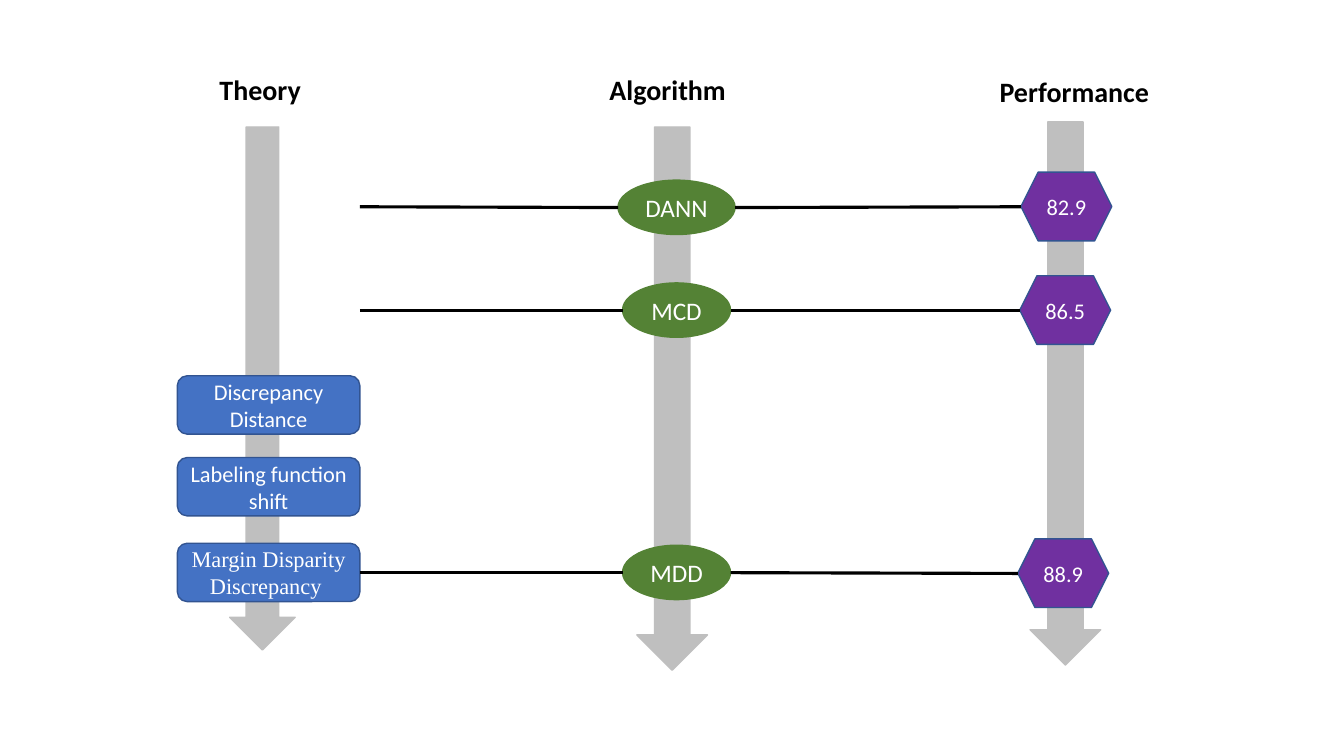
"""Build a slide linking theory, algorithm and performance in domain adaptation."""
from lxml import etree
from pptx import Presentation, util as u
from pptx.dml.color import RGBColor
from pptx.enum import shapes, text
from pptx.oxml.ns import qn

SHAPE = shapes.MSO_SHAPE


def color(value):
    return RGBColor.from_string(value)


def add_block(kind, box, fill, line, label="", size=16, font="Calibri", wrap=True):
    sp = s.shapes.add_shape(kind, *[u.Cm(n) for n in box])
    sp.shadow.inherit = False
    sp.fill.solid()
    sp.fill.fore_color.rgb = color(fill)
    sp.line.color.rgb = color(line)
    sp.line.width = u.Pt(1)
    if label:
        tf = sp.text_frame
        tf.text = label
        tf.word_wrap = wrap
        tf.vertical_anchor = text.MSO_ANCHOR.MIDDLE
        for p in tf.paragraphs:
            p.alignment = text.PP_ALIGN.CENTER
            for r in p.runs:
                for key, value in {"name": font, "size": u.Pt(size)}.items():
                    setattr(r.font, key, value)
                r.font.color.rgb = color("FFFFFF")


prs = Presentation()
prs.slide_width, prs.slide_height = u.Cm(33.87), u.Cm(19.05)
s = prs.slides.add_slide(prs.slide_layouts[6])

columns = [
    ("Theory", (5.28, 1.7, 2.82, 1.12), (5.79, 3.2, 1.65, 13.18)),
    ("Algorithm", (15.11, 1.7, 3.63, 1.12), (16.05, 3.2, 1.78, 13.69)),
    ("Performance", (24.94, 1.75, 4.45, 1.12), (25.96, 3.07, 1.78, 13.69)),
]
for heading, heading_box, arrow_box in columns:
    add_block(SHAPE.DOWN_ARROW, arrow_box, "BFBFBF", "BFBFBF")
    tf = s.shapes.add_textbox(*[u.Cm(n) for n in heading_box]).text_frame
    tf.word_wrap = True
    r = tf.paragraphs[0].add_run()
    r.text = heading
    for key, value in {"name": "Calibri", "size": u.Pt(20), "bold": True}.items():
        setattr(r.font, key, value)
    r.font.color.rgb = color("000000")

theory_left, theory_width = 4.47, 4.6
theories = [
    ("Discrepancy\nDistance", 9.47, "Calibri"),
    ("Labeling function shift", 11.53, "Calibri"),
    ("Margin Disparity Discrepancy ", 13.69, "Times New Roman"),
]
for label, top, font in theories:
    add_block(SHAPE.ROUNDED_RECTANGLE, (theory_left, top, theory_width, 1.47),
              "4472C4", "325491", label, font=font)

theory_right = theory_left + theory_width
algorithm_center = 17.05
methods = [
    ("DANN", 2.95, 5.23, "82.9", 25.73, 5.21, 5.21),
    ("MCD", 2.72, 7.82, "86.5", 25.7, 7.82, 7.82),
    ("MDD", 2.72, 14.43, "88.9", 25.65, 14.45, 14.43),
]
for name, width, middle, score, score_left, score_middle, start in methods:
    left = algorithm_center - width / 2
    add_block(SHAPE.OVAL, (left, middle - 0.69, width, 1.37),
              "548235", "548235", name, size=18, wrap=False)
    add_block(SHAPE.HEXAGON, (score_left, score_middle - 0.87, 2.29, 1.73),
              "7030A0", "325491", score, wrap=False)
    for ends in [(theory_right, start, left, middle),
                 (left + width, middle, score_left, score_middle)]:
        link = s.shapes.add_connector(shapes.MSO_CONNECTOR.STRAIGHT,
                                      *[u.Cm(n) for n in ends])
        link.line.color.rgb = color("000000")
        link.line.width = u.Pt(2.25)
        etree.SubElement(link.element.spPr, qn("a:effectLst"))

prs.save("out.pptx")
